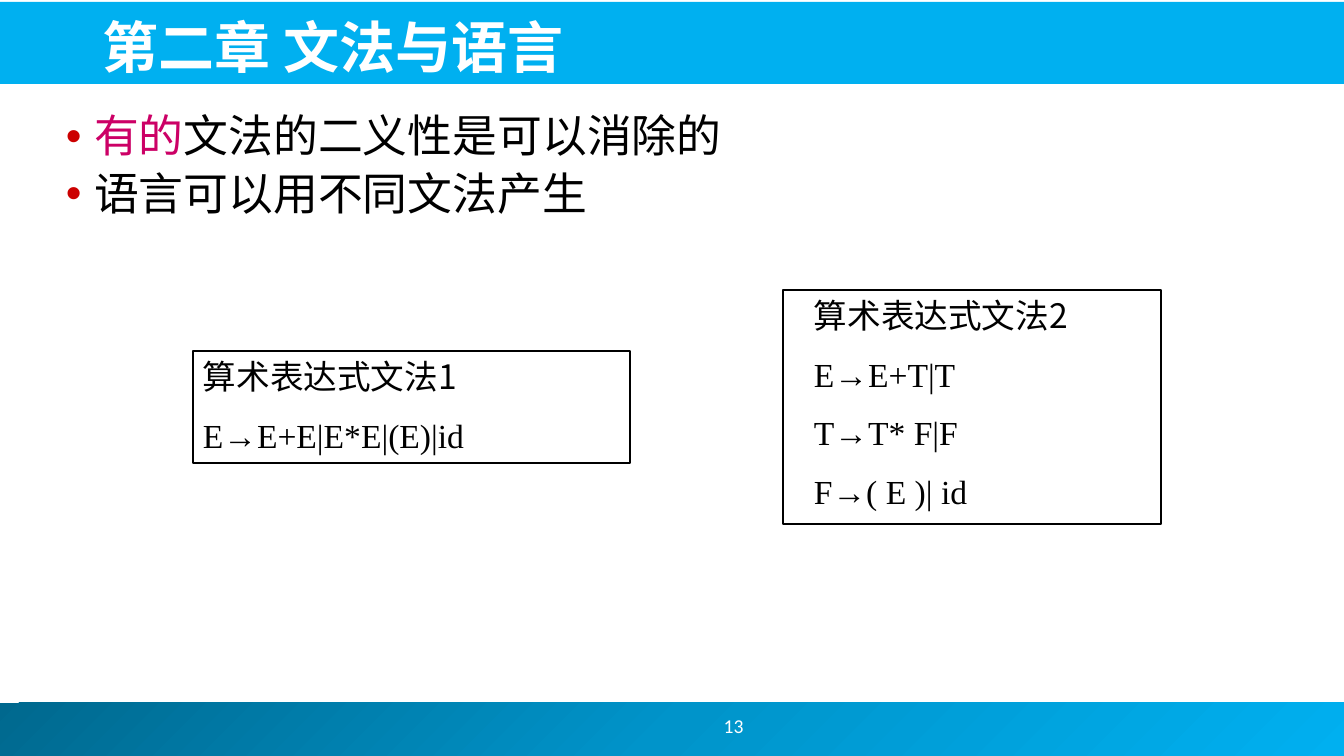
from copy import deepcopy
from lxml.etree import SubElement
from pptx import Presentation
from pptx.dml.color import RGBColor
from pptx.enum.shapes import MSO_SHAPE
from pptx.enum.text import MSO_ANCHOR, MSO_AUTO_SIZE, PP_ALIGN
from pptx.oxml.ns import qn
from pptx.util import Pt

COLORS = {
    "white": "FFFFFF", "black": "000000", "sky": "00B0F0", "mid": "0094CA",
    "deep": "00688E", "bullet": "CC0000", "accent": "CC0066",
}
CJK, SERIF, SANS = "Noto Sans CJK JP", "Times New Roman", "Calibri"


def px(n):
    return round(n * 914400 / 100.8)


def rgb(name):
    return RGBColor.from_string(COLORS[name])


class Deck:
    """Hold the style and current slide, and add each kind of element."""

    def __init__(self):
        self.prs = Presentation()
        self.prs.slide_width, self.prs.slide_height = px(1344), px(756)
        self.s = self.prs.slides.add_slide(self.prs.slide_layouts[1])

    def place(self, sp, box):
        sp.left, sp.top, sp.width, sp.height = map(px, box)

    def frame(self, sp, anchor):
        tf = sp.text_frame
        tf.word_wrap = True
        tf.auto_size = MSO_AUTO_SIZE.NONE
        tf.vertical_anchor = anchor
        tf.margin_left = tf.margin_right = px(10)
        tf.margin_top = tf.margin_bottom = px(5)
        return tf

    def style(self, p, font, size, color, align=PP_ALIGN.LEFT):
        p.alignment = align
        p.font.name, p.font.size = font, Pt(size)
        p.font.color.rgb = rgb(color)
        pr = p._p.pPr.find(qn("a:defRPr"))
        SubElement(pr, qn("a:ea")).set("typeface", font)
        return pr

    def rect(self, box):
        sp = self.s.shapes.add_shape(MSO_SHAPE.RECTANGLE, *map(px, box))
        sp.shadow.inherit = False
        return sp

    def band(self, box, *colors):
        sp = self.rect(box)
        sp.line.fill.background()
        if len(colors) == 1:
            sp.fill.solid()
            sp.fill.fore_color.rgb = rgb(colors[0])
        else:
            sp.fill.gradient()
            sp.fill.gradient_angle = 315
            stops = sp.element.spPr.find(qn("a:gradFill")).find(qn("a:gsLst"))
            stops.append(deepcopy(stops[-1]))
            for i, (stop, color) in enumerate(zip(sp.fill.gradient_stops, colors)):
                stop.position = i / (len(colors) - 1)
                stop.color.rgb = rgb(color)
        self.s.shapes.title.element.addprevious(sp.element)

    def title(self, text, box):
        sp = self.s.shapes.title
        self.place(sp, box)
        p = self.frame(sp, MSO_ANCHOR.BOTTOM).paragraphs[0]
        p.text = text
        self.style(p, CJK, 40, "white")
        p.font.bold = True

    def bullets(self, items, box):
        sp = self.s.placeholders[1]
        self.place(sp, box)
        tf = self.frame(sp, MSO_ANCHOR.TOP)
        for i, runs in enumerate(items):
            p = tf.add_paragraph() if i else tf.paragraphs[0]
            pr = self.style(p, CJK, 32, "black")
            p.line_spacing, p.space_before = 0.9, Pt(6.4)
            p._p.pPr.set("marL", str(px(40)))
            p._p.pPr.set("indent", str(px(-28)))
            clr = SubElement(p._p.pPr, qn("a:buClr"))
            SubElement(clr, qn("a:srgbClr")).set("val", COLORS["bullet"])
            pr.addprevious(clr)
            for text, color in runs:
                r = p.add_run()
                r.text = text
                r.font.color.rgb = rgb(color)

    def label(self, text, box):
        sp = self.s.shapes.add_textbox(*map(px, box))
        p = self.frame(sp, MSO_ANCHOR.MIDDLE).paragraphs[0]
        p.text = text
        self.style(p, SANS, 14, "white", PP_ALIGN.CENTER)

    def grammar(self, heading, rules, box, indent=0):
        sp = self.rect(box)
        sp.fill.background()
        sp.line.color.rgb, sp.line.width = rgb("black"), Pt(2)
        tf = self.frame(sp, MSO_ANCHOR.TOP)
        for i, text in enumerate([heading, *rules]):
            p = tf.add_paragraph() if i else tf.paragraphs[0]
            p.text = text
            self.style(p, SERIF if i else CJK, 24, "black")
            p.space_before = Pt(13 if i else 0)
            p._p.pPr.set("marL", str(px(indent)))


def main():
    d = Deck()
    d.band((-5, 703, 1350, 53), "deep", "mid", "sky")
    d.band((-2, 2, 1347, 82), "sky")
    d.title("第二章 文法与语言", (93, 5, 1207, 80))
    d.bullets([
        [("有的", "accent"), ("文法的二义性是可以消除的", "black")],
        [("语言可以用不同文法产生", "black")],
    ], (44, 109, 1254, 548))
    d.label("13", (588, 701, 291, 50))
    d.grammar("算术表达式文法2", ["E→E+T|T", "T→T* F|F", "F→( E )| id"],
              (783, 290, 378, 234), 21)
    d.grammar("算术表达式文法1", ["E→E+E|E*E|(E)|id"], (193, 351, 437, 112))
    d.prs.save("out.pptx")


if __name__ == "__main__":
    main()
